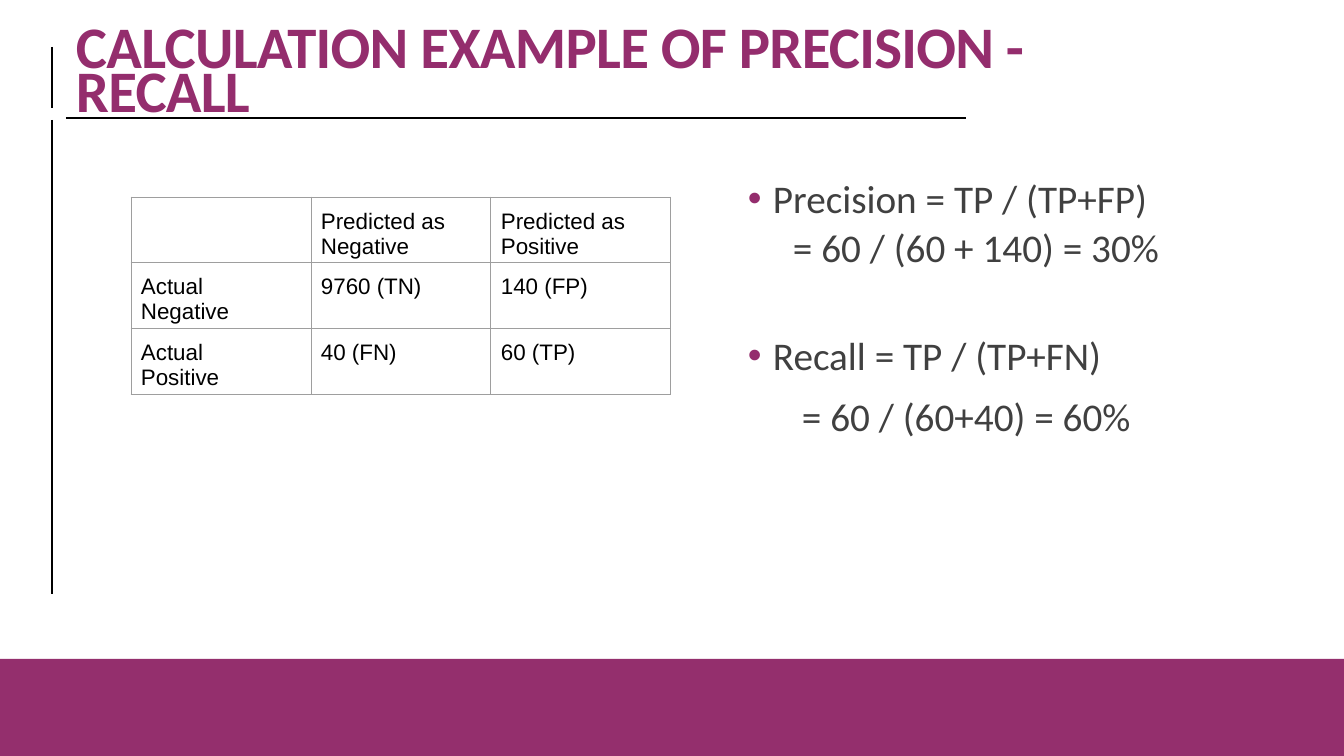
from pptx import Presentation, util as u
from pptx.dml.color import RGBColor
from pptx.enum import shapes, text
from pptx.oxml.ns import qn
from lxml import etree

PX = 12192000 / 1344
COLORS = {
    "band": "942F6D",
    "accent": "942D6D",
    "body": "404040",
    "black": "000000",
    "grid": "9E9E9E",
}
CONFUSION_MATRIX = [
    ["", "Predicted as Negative", "Predicted as Positive"],
    ["Actual Negative", "9760 (TN)", "140 (FP)"],
    ["Actual Positive", "40 (FN)", "60 (TP)"],
]
# text, bulleted, left indent in px, space before in pt
FORMULAS = [
    ("Precision = TP / (TP+FP)", True, 25, 0),
    ("= 60 / (60 + 140) = 30%", False, 45, 1.4),
    ("Recall = TP / (TP+FN)", True, 25, 43.5),
    ("= 60 / (60+40) = 60%", False, 54, 10),
]


def px(length):
    return u.Emu(round(length * PX))


def color(name):
    return RGBColor.from_string(COLORS[name])


def write(paragraph, words, *, size, font, ink, bold=False, tracking=0,
          before=0, line=None):
    """Add words to a paragraph; size, before and line are in points."""
    paragraph.alignment = text.PP_ALIGN.LEFT
    paragraph.space_before = u.Pt(before)
    if line:
        paragraph.line_spacing = u.Pt(line)
    run = paragraph.add_run()
    run.text = words
    run.font.size = u.Pt(size)
    run.font.name = font
    run.font.bold = bold
    run.font.color.rgb = color(ink)
    if tracking:
        run.font._element.set("spc", str(round(tracking * 100)))


def set_indent(paragraph, left, bulleted):
    properties = paragraph._p.get_or_add_pPr()
    properties.set("marL", str(px(left)))
    properties.set("indent", str(-px(left) if bulleted else 0))
    if bulleted:
        bullet_color = etree.SubElement(properties, qn("a:buClr"))
        etree.SubElement(bullet_color, qn("a:srgbClr"), val=COLORS["accent"])
        etree.SubElement(properties, qn("a:buFont"), typeface="Arial")
        etree.SubElement(properties, qn("a:buChar"), char="•")
    else:
        etree.SubElement(properties, qn("a:buNone"))


def add_text_frame(slide, left, top, width, height):
    frame = slide.shapes.add_textbox(px(left), px(top), px(width), px(height)).text_frame
    frame.word_wrap = True
    frame.margin_left = frame.margin_top = frame.margin_right = frame.margin_bottom = 0
    return frame


def add_band(slide, left, top, width, height):
    band = slide.shapes.add_shape(
        shapes.MSO_SHAPE.RECTANGLE, px(left), px(top), px(width), px(height))
    band.shadow.inherit = False
    band.fill.solid()
    band.fill.fore_color.rgb = color("band")
    band.line.fill.background()


def add_rule(slide, *ends):
    rule = slide.shapes.add_connector(
        shapes.MSO_CONNECTOR.STRAIGHT, *(px(end) for end in ends))
    rule.line.color.rgb = color("black")
    rule.line.width = u.Pt(1)
    etree.SubElement(rule._element.spPr, qn("a:effectLst"))


def style_cell(cell):
    """Thin grey borders on all sides and no fill."""
    properties = cell._tc.get_or_add_tcPr()
    for side in ("lnL", "lnR", "lnT", "lnB"):
        border = etree.SubElement(properties, qn(f"a:{side}"), w=str(u.Pt(0.75)))
        fill = etree.SubElement(border, qn("a:solidFill"))
        etree.SubElement(fill, qn("a:srgbClr"), val=COLORS["grid"])
    cell.fill.background()
    cell.margin_left, cell.margin_right = px(10), px(36)
    cell.margin_top, cell.margin_bottom = px(12), 0


def add_matrix(slide, left, top, column_width, row_height, rows):
    table = slide.shapes.add_table(
        len(rows), len(rows[0]), px(left), px(top),
        px(column_width * len(rows[0])), px(row_height * len(rows))).table
    table.first_row = table.horz_banding = False
    for row, labels in enumerate(rows):
        for column, label in enumerate(labels):
            cell = table.cell(row, column)
            style_cell(cell)
            if label:
                write(cell.text_frame.paragraphs[0], label,
                      size=16, font="Arial", ink="black")


def add_title(slide, words):
    frame = add_text_frame(slide, 76, 35, 984, 90)
    write(frame.paragraphs[0], words, size=42, font="Calibri", ink="accent",
          bold=True, tracking=-0.5, line=32)


def add_formulas(slide, formulas):
    frame = add_text_frame(slide, 748, 174, 530, 270)
    for number, (formula, bulleted, left, before) in enumerate(formulas):
        paragraph = frame.add_paragraph() if number else frame.paragraphs[0]
        set_indent(paragraph, left, bulleted)
        write(paragraph, formula, size=28, font="Calibri", ink="body", before=before)


def main():
    deck = Presentation()
    deck.slide_width, deck.slide_height = px(1344), px(756)
    slide = deck.slides.add_slide(deck.slide_layouts[6])
    add_band(slide, 0, 659, 1344, 97)
    add_title(slide, "CALCULATION EXAMPLE OF PRECISION - RECALL")
    add_formulas(slide, FORMULAS)
    add_rule(slide, 66, 118, 966, 118)
    add_rule(slide, 52, 47, 52, 108)
    add_rule(slide, 52, 120, 52, 594)
    add_matrix(slide, 131, 197, 180, 62, CONFUSION_MATRIX)
    deck.save("out.pptx")


if __name__ == "__main__":
    main()
